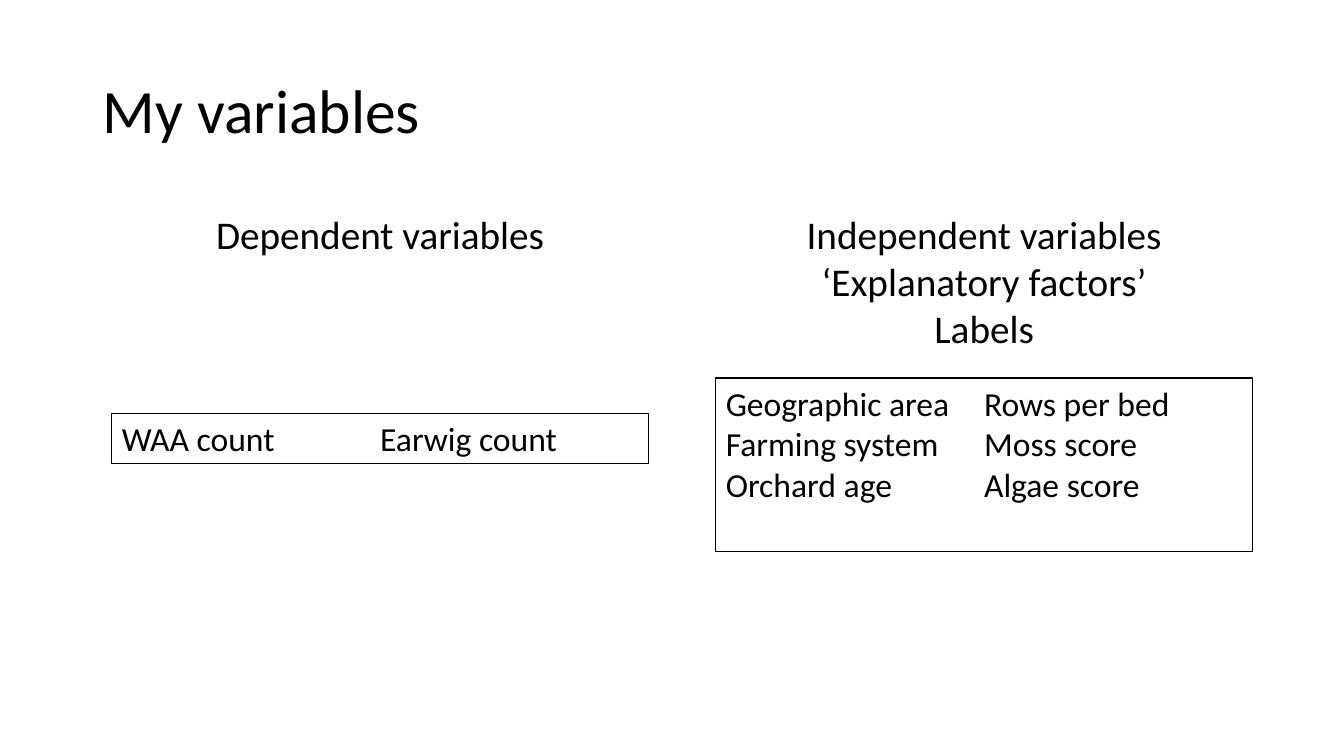
"""Build the slide that lists the dependent and independent variables."""
import pptx
import pptx.util
import pptx.dml.color
import pptx.enum.shapes
import pptx.enum.text

Inches = pptx.util.Inches
ALIGN = pptx.enum.text.PP_ALIGN
ANCHOR = pptx.enum.text.MSO_ANCHOR

HEADLINE = "My variables"
GROUPS = [
    {
        "heading": ["Dependent variables"],
        "variables": ["WAA count", "Earwig count"],
        "left": 1.11, "box_top": 4.1, "box_height": 0.5,
    },
    {
        "heading": ["Independent variables", "‘Explanatory factors’", "Labels"],
        "variables": ["Geographic area", "Farming system", "Orchard age",
                      "Rows per bed", "Moss score", "Algae score"],
        "left": 7.1, "box_top": 3.75, "box_height": 1.72,
    },
]
THEME = {
    "font": "Calibri",
    "ink": pptx.dml.color.RGBColor(0, 0, 0),
    "title": pptx.util.Pt(44),
    "heading": pptx.util.Pt(28),
    "variable": pptx.util.Pt(24),
    "border": pptx.util.Pt(0.75),
}
GROUP_WIDTH = 5.32
HEADING_TOP = 2.04
HEADING_LINE = 0.47
VARIABLE_LINE = 0.42
COLUMNS = 2
INSET = 0.05


def write(frame, lines, size, align, anchor=ANCHOR.TOP, spacing=1.0):
    """Fill a text frame with one formatted paragraph per line."""
    frame.text = "\n".join(lines)
    frame_format = {"word_wrap": True, "vertical_anchor": anchor,
                    "auto_size": pptx.enum.text.MSO_AUTO_SIZE.NONE}
    for key, value in frame_format.items():
        setattr(frame, key, value)
    for paragraph in frame.paragraphs:
        paragraph.alignment = align
        paragraph.line_spacing = spacing
        for key, value in {"name": THEME["font"], "size": THEME[size]}.items():
            setattr(paragraph.font, key, value)
        paragraph.font.color.rgb = THEME["ink"]


def add_title(slide):
    """Place the headline in the title placeholder."""
    title = slide.shapes.title
    place = {"left": 0.92, "top": 0.4, "width": 11.5, "height": 1.45}
    for key, value in place.items():
        setattr(title, key, Inches(value))
    write(title.text_frame, [HEADLINE], "title", ALIGN.LEFT, ANCHOR.MIDDLE, 0.9)


def add_heading(slide, group):
    """Add the centred heading above a group."""
    height = len(group["heading"]) * HEADING_LINE + 2 * INSET
    heading = slide.shapes.add_textbox(
        Inches(group["left"]), Inches(HEADING_TOP), Inches(GROUP_WIDTH), Inches(height))
    write(heading.text_frame, group["heading"], "heading", ALIGN.CENTER)


def add_variables(slide, group):
    """Add the outlined box that flows its variables through two columns."""
    box = slide.shapes.add_shape(
        pptx.enum.shapes.MSO_SHAPE.RECTANGLE, Inches(group["left"]),
        Inches(group["box_top"]), Inches(GROUP_WIDTH), Inches(group["box_height"]))
    box.shadow.inherit = False
    box.fill.background()
    box.line.color.rgb = THEME["ink"]
    box.line.width = THEME["border"]
    frame = box.text_frame
    write(frame, group["variables"], "variable", ALIGN.LEFT)
    rows = len(group["variables"]) // COLUMNS
    frame.margin_bottom = Inches(group["box_height"] - INSET - rows * VARIABLE_LINE)
    frame._txBody.bodyPr.set("numCol", str(COLUMNS))


def main():
    """Build and save the presentation."""
    deck = pptx.Presentation()
    deck.slide_width, deck.slide_height = Inches(13.33), Inches(7.5)
    slide = deck.slides.add_slide(deck.slide_layouts.get_by_name("Title Only"))
    add_title(slide)
    for group in GROUPS:
        add_heading(slide, group)
        add_variables(slide, group)
    deck.save("out.pptx")


if __name__ == "__main__":
    main()
